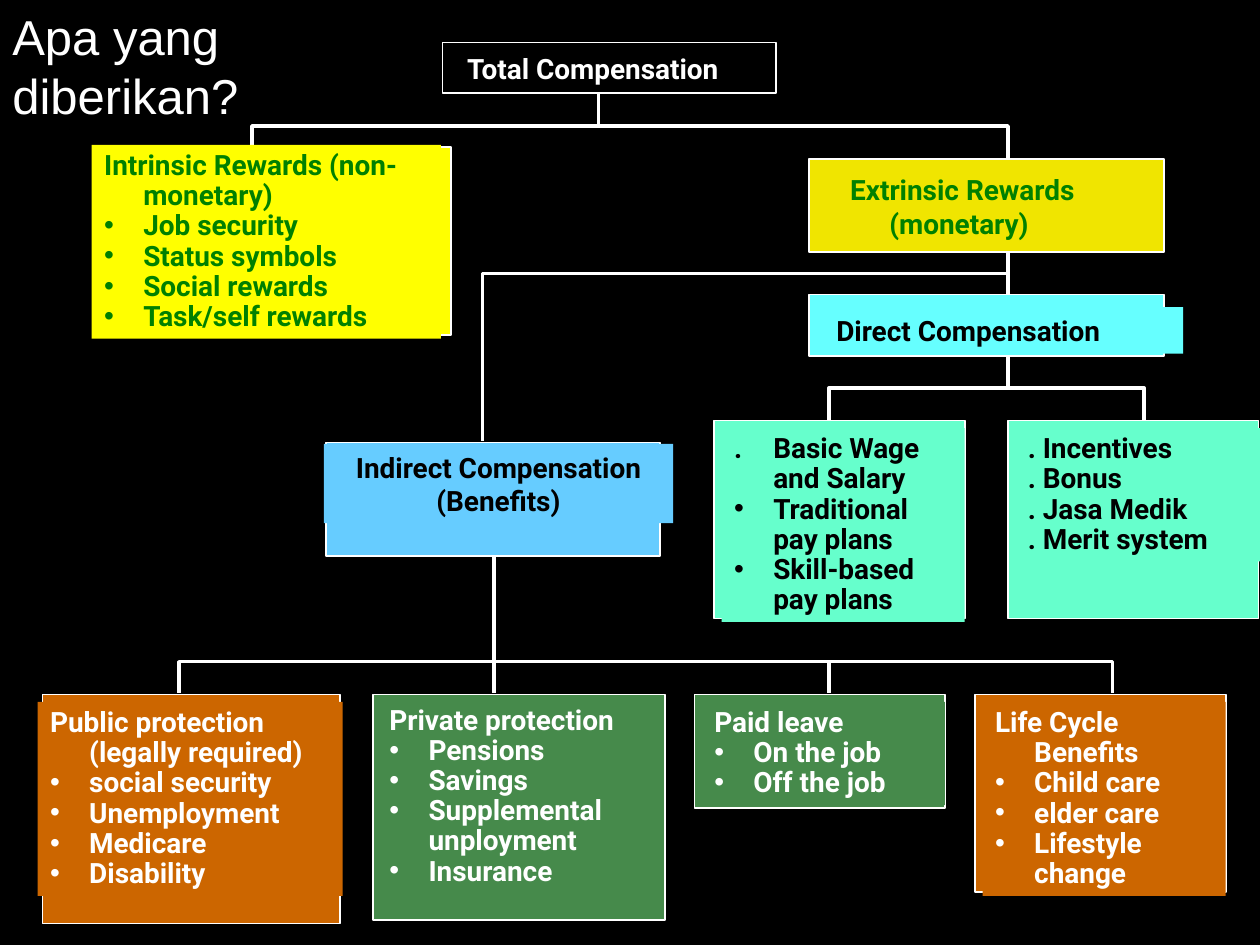
"""Builds a slide with the tree of total compensation."""
from lxml import etree
from pptx import Presentation
from pptx import util as u
from pptx.dml.color import RGBColor
from pptx.enum import shapes, text
from pptx.oxml.ns import qn

BLACK = RGBColor(0x00, 0x00, 0x00)
WHITE = RGBColor(0xFF, 0xFF, 0xFF)
GREEN = RGBColor(0x00, 0x80, 0x00)
YELLOW = RGBColor(0xFF, 0xFF, 0x00)
GOLD = RGBColor(0xF0, 0xE5, 0x00)
CYAN = RGBColor(0x66, 0xFF, 0xFF)
MINT = RGBColor(0x66, 0xFF, 0xCC)
SKY = RGBColor(0x66, 0xCC, 0xFF)
ORANGE = RGBColor(0xCC, 0x66, 0x00)
FOREST = RGBColor(0x46, 0x8A, 0x4B)

HANG = 0.79
ROW_DIRECT = 8.48
ROW_BENEFITS = 14
SMALL_WIDTH = 5.05
SMALL_HEIGHT = 3.99

BRANCHES = [
    [(12.07, 1.9), (12.07, 2.54), (5.08, 2.54), (5.08, 2.97)],
    [(12.07, 2.54), (20.32, 2.54), (20.32, 3.18)],
    [(20.32, 5.08), (20.32, 5.92)],
    [(20.32, 7.19), (20.32, 7.82), (16.71, 7.82), (16.71, 8.46)],
    [(20.32, 7.82), (23.06, 7.82), (23.06, 8.46)],
    [(20.32, 5.51), (9.73, 5.51), (9.73, 8.89)],
    [(9.96, 11.23), (9.96, 13.34), (3.61, 13.34), (3.61, 13.97)],
    [(9.96, 13.34), (9.96, 13.97)],
    [(9.96, 13.34), (16.71, 13.34), (16.71, 13.97)],
    [(16.71, 13.34), (22.43, 13.34), (22.43, 13.97)],
]


def set_insets(frame):
    """Give a text frame its margins, wrapping and top anchor."""
    frame.margin_left = frame.margin_right = u.Cm(0.25)
    frame.margin_top = frame.margin_bottom = u.Cm(0.13)
    frame.vertical_anchor = text.MSO_ANCHOR.TOP
    frame.auto_size = text.MSO_AUTO_SIZE.NONE
    frame.word_wrap = True


def add_title(page, left, top, width, height):
    """Move and format the title placeholder."""
    title = page.shapes.title
    title.left, title.top = u.Cm(left), u.Cm(top)
    title.width, title.height = u.Cm(width), u.Cm(height)
    set_insets(title.text_frame)
    title.text_frame.text = "Apa yang diberikan?"
    para = title.text_frame.paragraphs[0]
    para.alignment = text.PP_ALIGN.LEFT
    font = para.runs[0].font
    font.size, font.name, font.color.rgb = u.Pt(28), "Arial", WHITE


def add_branch(page, points):
    """Draw a white line through the points, as a connector if it is straight."""
    ends = [(u.Cm(x), u.Cm(y)) for x, y in points]
    if len(ends) == 2:
        branch = page.shapes.add_connector(shapes.MSO_CONNECTOR.STRAIGHT, *ends[0], *ends[1])
        etree.SubElement(branch.element.spPr, qn("a:effectLst"))
    else:
        builder = page.shapes.build_freeform(*ends[0])
        builder.add_line_segments(ends[1:], close=False)
        branch = builder.convert_to_shape()
        branch.fill.background()
        branch.shadow.inherit = False
    branch.line.color.rgb = WHITE
    branch.line.width = u.Pt(2)


def add_panel(group, left, top, width, height, fill):
    """Add a filled rectangle without an outline."""
    panel = group.shapes.add_shape(shapes.MSO_SHAPE.RECTANGLE, u.Cm(left), u.Cm(top),
                                   u.Cm(width), u.Cm(height))
    panel.shadow.inherit = False
    panel.fill.solid()
    panel.fill.fore_color.rgb = fill
    panel.line.fill.background()
    return panel


def add_bullet(para, color):
    """Give a paragraph a round bullet."""
    properties = para._p.get_or_add_pPr()
    tint = etree.SubElement(properties, qn("a:buClr"))
    etree.SubElement(tint, qn("a:srgbClr"), val=str(color))
    etree.SubElement(properties, qn("a:buFont"), typeface="Arial")
    etree.SubElement(properties, qn("a:buChar"), char="•")


def add_card(page, box, label_box, fill, ink, lines, bulleted=True, centered=False):
    """Add an outlined box with a label panel placed relative to its corner."""
    left, top, width, height = box
    shift_x, shift_y, label_width, label_height = label_box
    group = page.shapes.add_group_shape()
    outline = add_panel(group, left, top, width, height, fill)
    outline.line.color.rgb = WHITE
    outline.line.width = u.Pt(1)
    label = add_panel(group, left + shift_x, top + shift_y, label_width, label_height, fill)
    if fill == GOLD:
        label.fill.background()
    set_insets(label.text_frame)
    label.text_frame.text = "\n".join(lines)
    for index, para in enumerate(label.text_frame.paragraphs):
        para.alignment = text.PP_ALIGN.CENTER if centered else text.PP_ALIGN.LEFT
        if not centered:
            properties = para._p.get_or_add_pPr()
            properties.set("marL", str(u.Cm(HANG)))
            properties.set("indent", str(-u.Cm(HANG)))
        if index and bulleted:
            add_bullet(para, ink)
        if len(lines) > 1:
            para.line_spacing = 0.9
        for span in para.runs:
            span.font.size, span.font.name = u.Pt(16), "Roboto"
            span.font.bold, span.font.color.rgb = True, ink


def add_rewards(page):
    """Add the upper levels of the tree."""
    add_card(page, (8.92, 0.86, 6.73, 1.02), (0.25, 0.05, 6.17, 0.94), BLACK, WHITE,
             ["Total Compensation"])
    add_card(page, (1.93, 2.97, 7.16, 3.78), (-0.08, -0.05, 7.04, 3.91), YELLOW, GREEN,
             ["Intrinsic Rewards (non-monetary)", "Job security", "Status symbols",
              "Social rewards", "Task/self rewards"])
    add_card(page, (16.31, 3.2, 7.16, 1.88), (0.58, 0.15, 7.24, 1.6), GOLD, GREEN,
             ["Extrinsic Rewards (monetary)"])
    add_card(page, (16.31, 5.94, 7.16, 1.24), (0.3, 0.25, 7.24, 0.94), CYAN, BLACK,
             ["Direct Compensation"])
    add_card(page, (6.58, 8.92, 6.73, 2.29), (-0.05, 0.03, 7.04, 1.6), SKY, BLACK,
             ["Indirect Compensation (Benefits)"], centered=True)


def add_direct_pay(page):
    """Add the two kinds of direct compensation."""
    add_card(page, (14.4, ROW_DIRECT, SMALL_WIDTH, SMALL_HEIGHT), (0.15, 0.15, 4.9, 3.91),
             MINT, BLACK,
             [".\tBasic Wage and Salary", "Traditional pay plans", "Skill-based pay plans"])
    add_card(page, (20.32, ROW_DIRECT, SMALL_WIDTH, SMALL_HEIGHT), (0.15, 0.15, 4.93, 2.69),
             MINT, BLACK,
             [". Incentives", ". Bonus", ". Jasa Medik", ". Merit system"], bulleted=False)


def add_benefits(page):
    """Add the row of four benefit types."""
    add_card(page, (0.86, ROW_BENEFITS, 5.99, 4.62), (-0.1, 0.15, 6.15, 3.91), ORANGE, WHITE,
             ["Public protection (legally required)", "social security", "Unemployment",
              "Medicare", "Disability"])
    add_card(page, (7.52, ROW_BENEFITS, 5.89, 4.55), (0.08, 0.1, 5.77, 3.91), FOREST, WHITE,
             ["Private protection", "Pensions", "Savings", "Supplemental unployment",
              "Insurance"])
    add_card(page, (14, ROW_BENEFITS, SMALL_WIDTH, 2.29), (0.15, 0.15, 4.9, 2.08),
             FOREST, WHITE, ["Paid leave", "On the job", "Off the job"])
    add_card(page, (19.66, ROW_BENEFITS, SMALL_WIDTH, SMALL_HEIGHT), (0.15, 0.15, 4.9, 3.91),
             ORANGE, WHITE,
             ["Life Cycle Benefits", "Child care", "elder care", "Lifestyle change"])


def main():
    """Build and save the deck."""
    deck = Presentation()
    deck.slide_width, deck.slide_height = u.Cm(25.4), u.Cm(19.05)
    page = deck.slides.add_slide(deck.slide_layouts[5])
    page.background.fill.solid()
    page.background.fill.fore_color.rgb = BLACK
    add_title(page, 0, 0, 8.1, 2.64)
    for points in BRANCHES:
        add_branch(page, points)
    add_rewards(page)
    add_direct_pay(page)
    add_benefits(page)
    deck.save("out.pptx")


if __name__ == "__main__":
    main()
